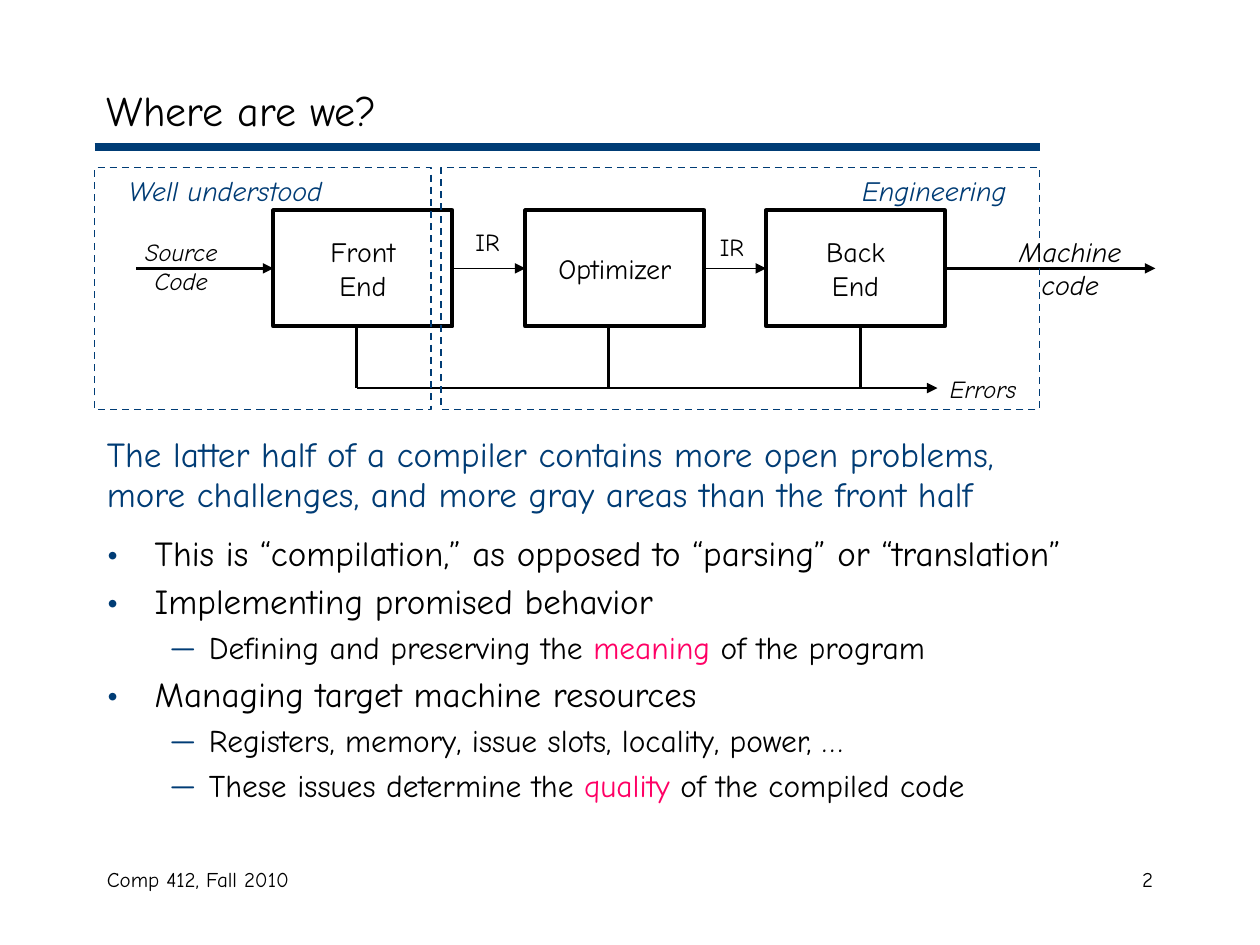
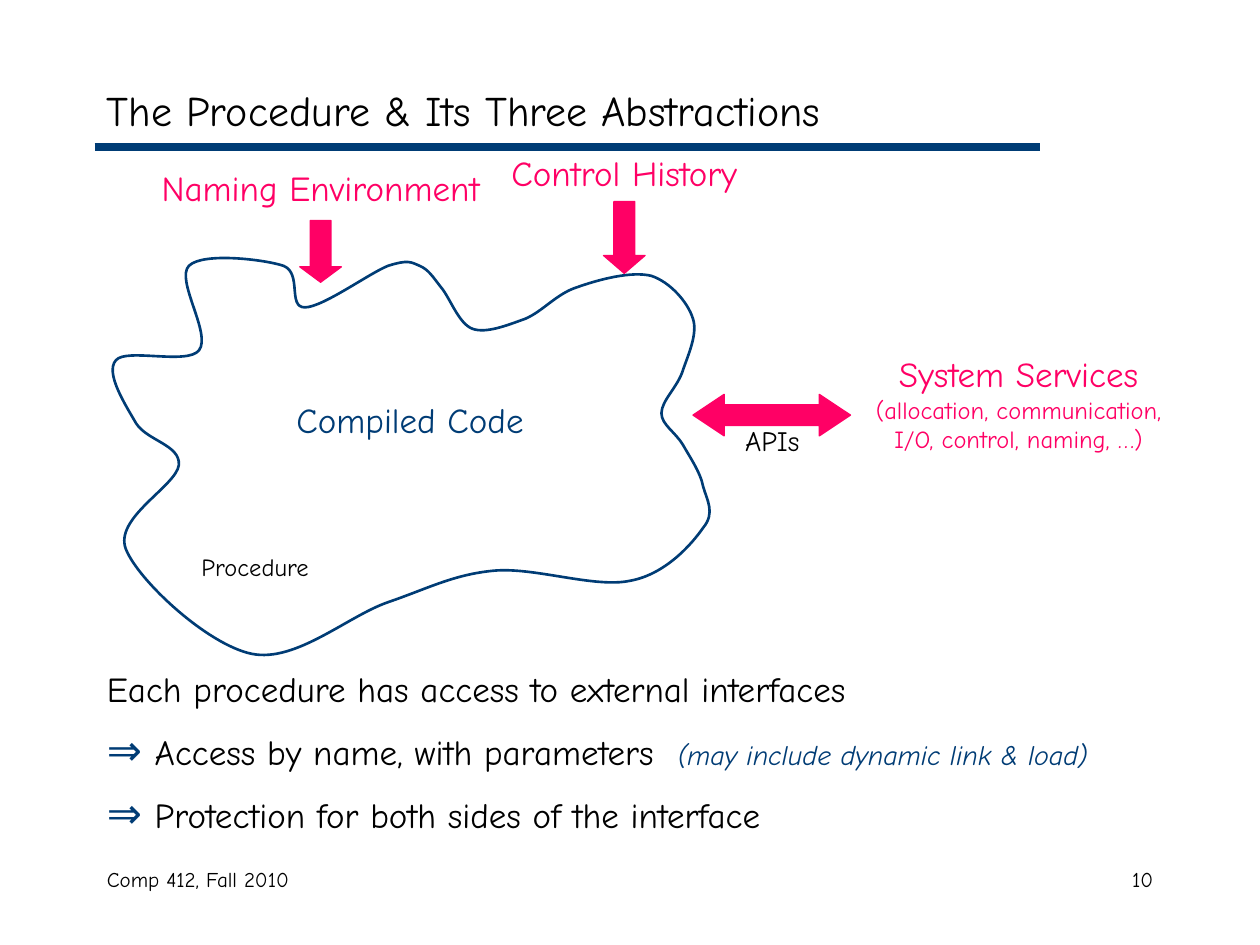
from lxml import etree
from pptx import Presentation
from pptx.dml.color import RGBColor
from pptx.enum import dml, shapes, text
from pptx.oxml import ns
from pptx.util import Inches, Pt

FONT = "Comic Neue"
HUES = {"ink": "000000", "navy": "003C75", "pink": "FF0065"}
LEFT, MID, RIGHT = text.PP_ALIGN.LEFT, text.PP_ALIGN.CENTER, text.PP_ALIGN.RIGHT
FOOT = "Comp 412, Fall 2010"

# Paragraph styles: size, space before, left indent, hang, bullet, bullet size
STYLES = {
    "lead": (20, 12, 0, 0, None, 100),
    "more": (20, 1.2, 0, 0, None, 100),
    "head": (20, 12, 0.38, 0.38, "•", 120),
    "item": (20, 6, 0.38, 0.38, "•", 120),
    "sub": (18, 6, 0.81, 0.31, "—", 100),
    "then": (20, 12, 0.38, 0.38, "⇒", 120),
}

# Slide 1 content; a run is (text, hue, size, italic), None keeps the style
STATE = [
    ("lead", "navy", ["The latter half of a compiler contains more open problems,"]),
    ("more", "navy", ["more challenges, and more gray areas than the front half"]),
    ("head", "ink", ["This is “compilation,” as opposed to “parsing” or “translation”"]),
    ("item", "ink", ["Implementing promised behavior"]),
    ("sub", "ink", ["Defining and preserving the ", ("meaning", "pink", None, None),
                    " of the program"]),
    ("item", "ink", ["Managing target machine resources"]),
    ("sub", "ink", ["Registers, memory, issue slots, locality, power, …"]),
    ("sub", "ink", ["These issues determine the ", ("quality", "pink", None, None),
                    " of the compiled code"]),
]
STAGES = [("Front\nEnd", 2.17), ("Optimizer", 4.17), ("Back\nEnd", 6.08)]
STAGE_TOP, STAGE_W, STAGE_H = 1.67, 1.42, 0.92
DROPS = [2.83 + 2 * i for i in range(3)]
BUS_Y = 3.08
ZONES = [(0.75, 2.67), (3.5, 4.75)]
# Labels: text, box, size, hue, align, italic
FLOW = [
    ("Source\nCode", (0.94, 1.83, 1, 0.57), 14, "ink", MID, True),
    ("Machine\ncode", (7.83, 1.81, 1.33, 0.64), 16, "ink", MID, True),
    ("IR", (3.57, 1.75, 0.6, 0.34), 14, "ink", MID, False),
    ("IR", (5.51, 1.79, 0.6, 0.34), 14, "ink", MID, False),
    ("Errors", (7.44, 2.92, 0.8, 0.34), 14, "ink", LEFT, True),
    ("Well understood", (0.75, 1.33, 2.08, 0.37), 16, "navy", MID, True),
    ("Engineering", (6.58, 1.33, 1.67, 0.37), 16, "navy", MID, True),
]

# Slide 2 content
ACCESS = [
    ("lead", "ink", ["Each procedure has access to external interfaces"]),
    ("then", "ink", ["Access by name, with parameters\t",
                     ("(may include dynamic link & load)", "navy", 16, True)]),
    ("then", "ink", ["Protection for both sides of the interface"]),
]
NAMES = [
    ("Naming Environment", (0.92, 1.27, 3.25, 0.44), 20, "pink", MID, False),
    ("Control History", (3.33, 1.15, 3.25, 0.44), 20, "pink", MID, False),
    ("APIs", (5.63, 3.31, 1, 0.37), 16, "ink", MID, False),
    ("Compiled Code", (2.17, 3.11, 2.17, 0.44), 20, "navy", MID, False),
    ("Procedure", (1.5, 4.33, 1.67, 0.34), 14, "ink", LEFT, False),
]
SERVE = ("System Services\n(allocation, communication, I/O, control, naming, …)",
         (6.67, 2.75, 2.83, 0.9), 20, "pink", MID, False)
DOWN, BOTH = shapes.MSO_SHAPE.DOWN_ARROW, shapes.MSO_SHAPE.LEFT_RIGHT_ARROW
ARROWS = [(DOWN, (2.38, 1.75, 0.33, 0.49), 0.37),
          (DOWN, (4.79, 1.6, 0.33, 0.57), 0.43),
          (BOTH, (5.5, 3.13, 1.25, 0.33), 0.75)]
# Outline of the procedure in hundredths of an inch:
# a start, then two handles and an end per curve
START = (108, 336)
CURVES = [
    (100, 322, 83, 296, 92, 286), (100, 276, 149, 290, 158, 278),
    (168, 265, 139, 222, 150, 211), (161, 200, 210, 206, 225, 211),
    (240, 217, 228, 244, 242, 244), (256, 244, 293, 217, 308, 211),
    (324, 206, 326, 208, 333, 211), (340, 214, 343, 219, 350, 228),
    (357, 236, 364, 257, 375, 261), (386, 265, 403, 258, 417, 253),
    (431, 247, 442, 233, 458, 228), (475, 222, 501, 215, 517, 219),
    (532, 224, 546, 240, 550, 253), (554, 265, 546, 282, 542, 294),
    (538, 307, 525, 318, 525, 328), (525, 337, 536, 343, 542, 353),
    (547, 362, 556, 375, 558, 386), (561, 397, 568, 407, 558, 419),
    (549, 432, 528, 456, 500, 461), (472, 467, 424, 450, 392, 453),
    (360, 456, 340, 467, 308, 478), (276, 489, 235, 526, 200, 519),
    (165, 512, 110, 461, 100, 436), (90, 411, 140, 386, 142, 369),
    (143, 353, 117, 350, 108, 336),
]


# Helpers
def hue(name):
    return RGBColor.from_string(HUES[name])


def inch(box):
    return [Inches(v) for v in box]


def sub(node, tag, **attrs):
    return etree.SubElement(node, ns.qn(tag), attrs)


def style(font, size, tint, slant=False):
    font.name, font.size, font.italic = FONT, Pt(size), slant
    font.color.rgb = hue(tint)


def write(frame, words, size, tint="ink", align=LEFT, slant=False):
    frame.word_wrap = True
    frame.text = words
    for para in frame.paragraphs:
        para.alignment = align
        style(para.font, size, tint, slant)


def label(slide, words, box, *look):
    frame = slide.shapes.add_textbox(*inch(box)).text_frame
    write(frame, words, *look)
    return frame


def line(slide, start, end, width=1.5, tint="ink", arrow=False):
    link = slide.shapes.add_connector(
        shapes.MSO_CONNECTOR.STRAIGHT, *inch(start + end))
    link.line.width, link.line.color.rgb = Pt(width), hue(tint)
    if arrow:
        sub(link.line._get_or_add_ln(), "a:tailEnd", type="triangle")
    sub(link._element.spPr, "a:effectLst")
    return link


def paint(shape, width, tint, fill=None):
    shape.shadow.inherit = False
    shape.line.width, shape.line.color.rgb = Pt(width), hue(tint)
    if fill:
        shape.fill.solid()
        shape.fill.fore_color.rgb = hue(fill)
    else:
        shape.fill.background()


def block(slide, kind, box, width, tint, fill=None):
    shape = slide.shapes.add_shape(kind, *inch(box))
    paint(shape, width, tint, fill)
    return shape


def body(slide, box, rows, space, tab=None):
    frame = slide.shapes.add_textbox(*inch(box)).text_frame
    frame.word_wrap = True
    for i, (kind, tint, runs) in enumerate(rows):
        size, before, left, hang, mark, scale = STYLES[kind]
        para = frame.add_paragraph() if i else frame.paragraphs[0]
        props = para._p.get_or_add_pPr()
        if mark:
            props.set("marL", str(Inches(left)))
            props.set("indent", str(-Inches(hang)))
            sub(sub(props, "a:buClr"), "a:srgbClr", val=HUES["navy"])
            sub(props, "a:buSzPct", val=str(scale * 1000))
            sub(props, "a:buFont", typeface=FONT)
            sub(props, "a:buChar", char=mark)
        if tab and any("\t" in run for run in runs):
            sub(sub(props, "a:tabLst"), "a:tab", pos=str(Inches(tab)), algn="l")
        para.line_spacing = space
        para.space_before = Pt(before if i else 0)
        style(para.font, size, tint)
        for run in runs:
            words, *look = (run, None, None, None) if isinstance(run, str) else run
            part = para.add_run()
            part.text = words
            if look[0]:
                style(part.font, look[1] or size, look[0], look[2])


def frame_slide(deck, title, number):
    slide = deck.slides.add_slide(deck.slide_layouts[6])
    line(slide, (0.75, 1.17), (8.25, 1.17), 4.5, "navy")
    label(slide, FOOT, (0.75, 6.83, 3.17, 0.5), 12)
    label(slide, number, (7.17, 6.83, 2.08, 0.5), 12, "ink", RIGHT)
    head = label(slide, title, (0.75, 0.58, 8.5, 0.58), 24)
    head.vertical_anchor = text.MSO_ANCHOR.MIDDLE
    return slide


def outline(slide):
    pen = slide.shapes.build_freeform(*START, scale=Inches(0.01))
    pen.add_line_segments([c[i:i + 2] for c in CURVES for i in (0, 2, 4)],
                          close=True)
    shape = pen.convert_to_shape()
    paint(shape, 1.5, "navy")
    # Join every three points into one curve
    steps = list(shape._element.iter(ns.qn("a:lnTo")))
    for i in range(0, 3 * len(CURVES), 3):
        curve = etree.Element(ns.qn("a:cubicBezTo"))
        steps[i].addprevious(curve)
        for step in steps[i:i + 3]:
            curve.append(step[0])
            step.getparent().remove(step)


# Slide 1: the compiler's stages
def draw_state(deck):
    slide = frame_slide(deck, "Where are we?", "2")
    body(slide, (0.75, 3.42, 8.5, 3.58), STATE, 0.9)
    rect = shapes.MSO_SHAPE.RECTANGLE
    stages = []
    for words, left in STAGES:
        stage = block(slide, rect, (left, STAGE_TOP, STAGE_W, STAGE_H), 2.25, "ink")
        write(stage.text_frame, words, 16, "ink", MID)
        stages.append(stage)

    mid = STAGE_TOP + STAGE_H / 2
    enter = line(slide, (1.08, mid), (2.17, mid), arrow=True)
    enter.end_connect(stages[0], 1)
    leave = line(slide, (7.5, mid), (9.17, mid), arrow=True)
    leave.begin_connect(stages[-1], 3)
    for one, two in zip(stages, stages[1:]):
        link = line(slide, (0, mid), (1, mid), 0.75, arrow=True)
        link.begin_connect(one, 3)
        link.end_connect(two, 1)

    # Error bus
    for x in DROPS:
        line(slide, (x, STAGE_TOP + STAGE_H), (x, BUS_Y))
    line(slide, (DROPS[0], BUS_Y), (7.44, BUS_Y), arrow=True)

    for left, width in ZONES:
        zone = block(slide, rect, (left, 1.33, width, 1.92), 1, "navy")
        zone.line.dash_style = dml.MSO_LINE.DASH
    for item in FLOW:
        label(slide, *item)


# Slide 2: the procedure and its interfaces
def draw_access(deck):
    slide = frame_slide(deck, "The Procedure & Its Three Abstractions", "10")
    body(slide, (0.75, 5.25, 8.5, 1.75), ACCESS, 1.0, 4.53)
    outline(slide)
    for kind, box, tip in ARROWS:
        arrow = block(slide, kind, box, 0.75, "pink", "pink")
        arrow.adjustments[1] = tip
    for item in NAMES:
        label(slide, *item)
    label(slide, *SERVE).paragraphs[1].font.size = Pt(14)


def main():
    deck = Presentation()
    deck.slide_width, deck.slide_height = Inches(10), Inches(7.5)
    draw_state(deck)
    draw_access(deck)
    deck.save("out.pptx")


if __name__ == "__main__":
    main()
